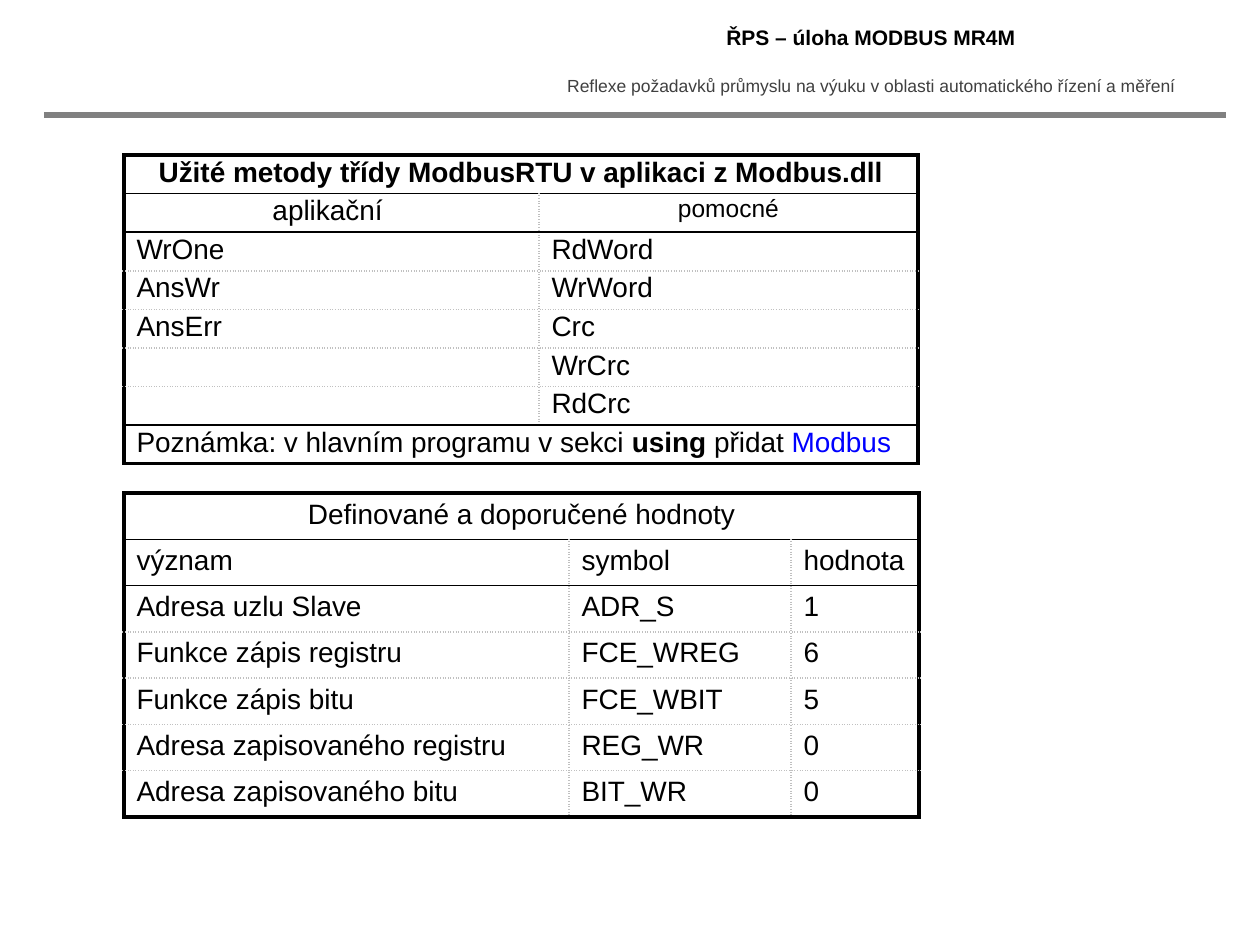
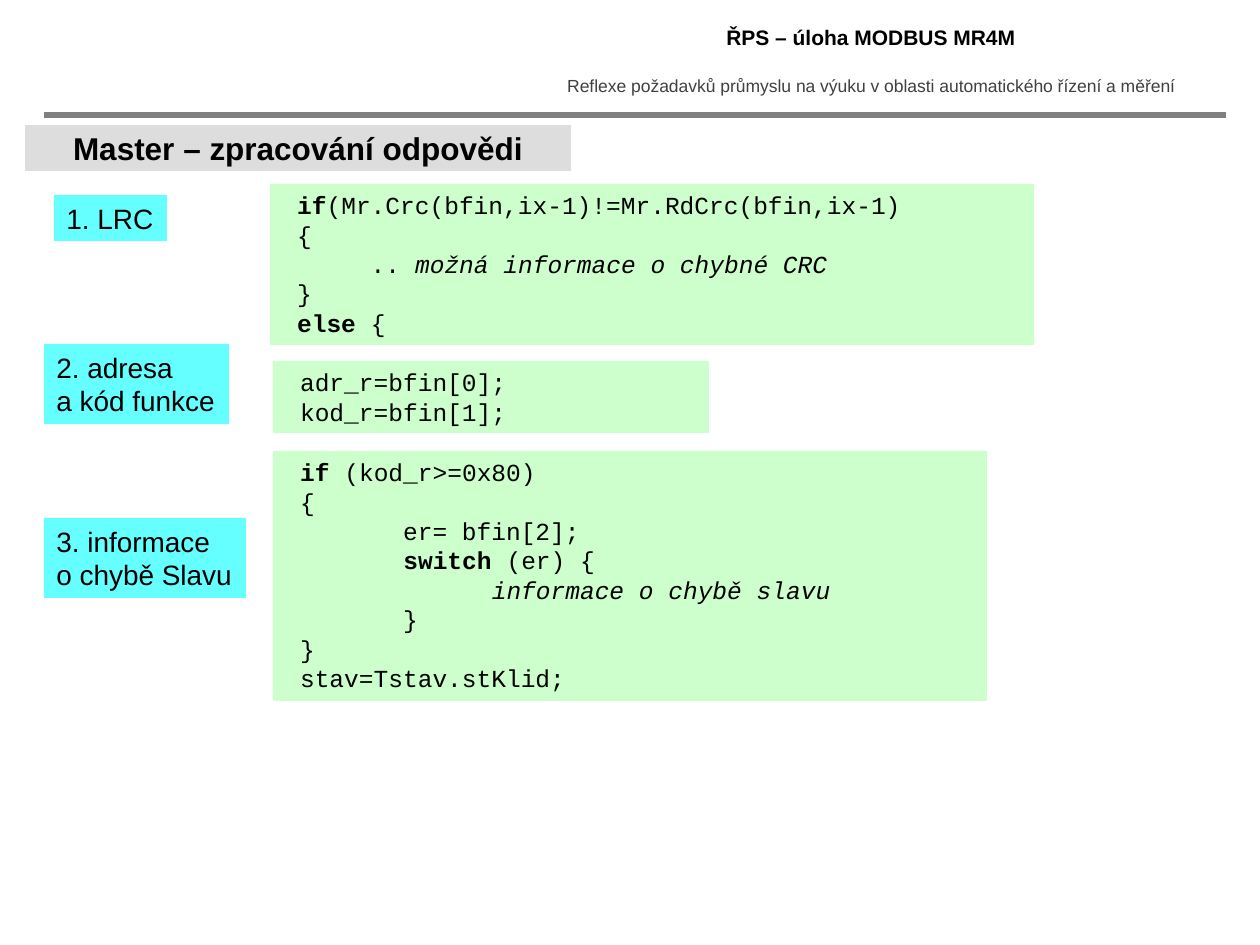
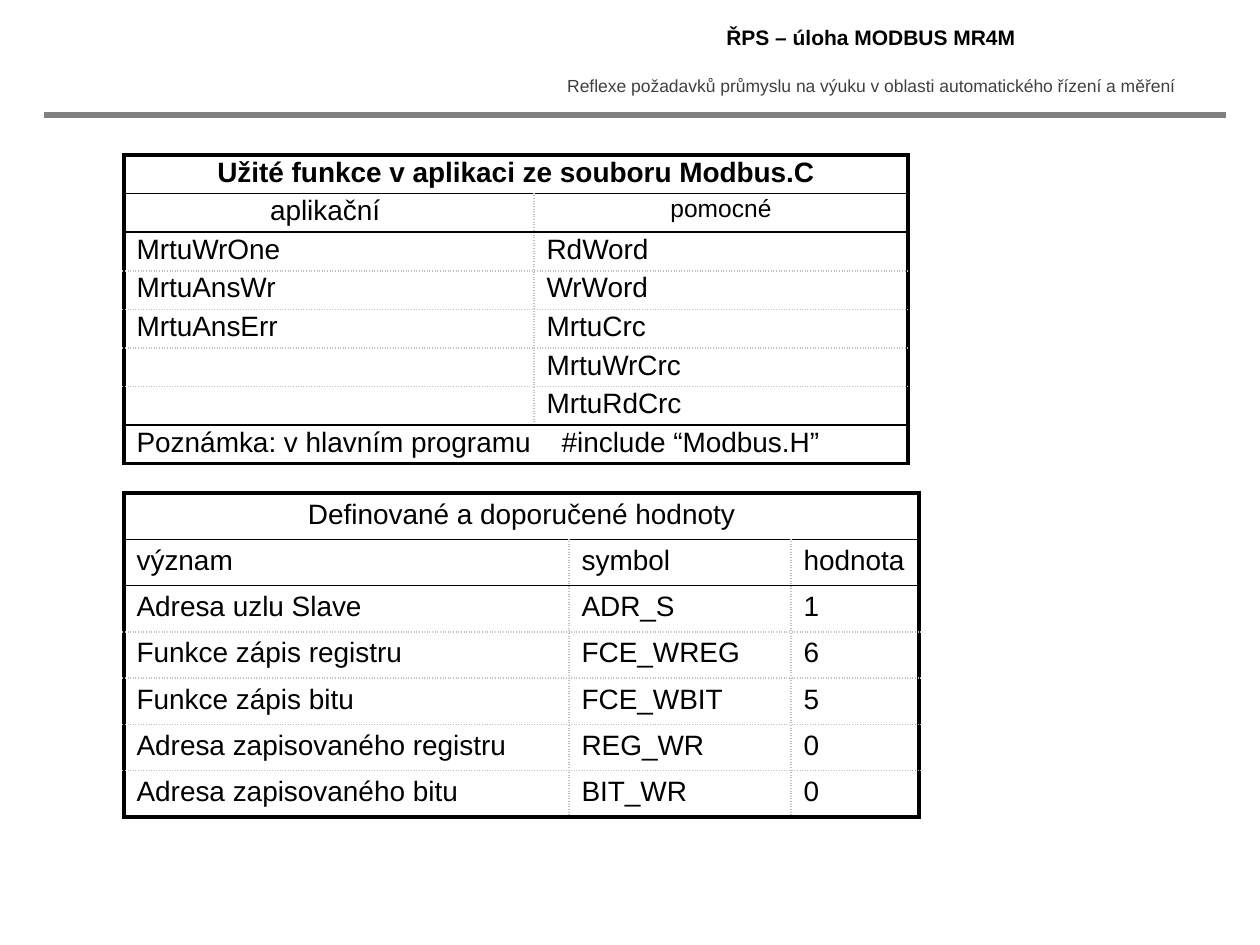
"""Build three MODBUS lesson slides: two with method and value tables, one with code."""
from dataclasses import dataclass

from lxml.etree import SubElement
from pptx import Presentation
from pptx.dml.color import RGBColor
from pptx.enum.shapes import MSO_CONNECTOR, MSO_SHAPE
from pptx.enum.text import MSO_ANCHOR, PP_ALIGN
from pptx.oxml.ns import qn
from pptx.util import Emu, Pt


@dataclass(frozen=True)
class Theme:
    face: str = "Arial"
    code_face: str = "Courier New"
    ink: str = "000000"
    subtitle: str = "404040"
    rule: str = "808080"
    dots: str = "C0C0C0"
    link: str = "0000FF"
    banner: str = "DDDDDD"
    label: str = "66FFFF"
    code: str = "CCFFCC"
    subtitle_size: int = 10
    header_size: int = 12
    code_size: int = 14
    small_size: int = 14
    body_size: int = 16
    banner_size: int = 18


THEME = Theme()
PX = 914400 / 126
THICK = (THEME.ink, 2.25, "solid")
THIN = (THEME.ink, 1, "solid")
DOTTED = (THEME.dots, 1, "sysDot")


def write_lines(frame, lines, size, face=THEME.face, color=THEME.ink, align=PP_ALIGN.LEFT):
    """Fill a text frame; a line is a string or a list of (text, style) spans."""
    for number, line in enumerate(lines):
        para = frame.paragraphs[0] if number == 0 else frame.add_paragraph()
        spans = [(line, "")] if isinstance(line, str) else line
        para.alignment = align
        if any("\t" in text for text, style in spans):
            tabs = SubElement(para._p.get_or_add_pPr(), qn("a:tabLst"))
            SubElement(tabs, qn("a:tab"), pos=str(round(425 * PX)), algn="l")
        para.font.name = face
        para.font.size = Pt(size)
        para.font.color.rgb = RGBColor.from_string(color)
        if line == "":
            SubElement(para._p, qn("a:endParaRPr"), sz=str(size * 100))
            continue
        for text, style in spans:
            span = para.add_run()
            span.text = text
            font = para.font if len(spans) == 1 else span.font
            if style == "bold":
                font.bold = True
            elif style == "italic":
                font.italic = True
            elif style == "small":
                font.size = Pt(THEME.small_size)
            elif style == "link":
                font.color.rgb = RGBColor.from_string(THEME.link)


def draw_table(page, top, height, widths, rows, solid_edges, centred_rows, margin):
    """Draw a framed table; a row with one value spans the full width."""
    count, last = len(rows), len(widths) - 1
    table = page.shapes.add_table(count, last + 1, Emu(round(124 * PX)), Emu(round(top * PX)),
                                  Emu(round(sum(widths) * PX)), Emu(round(height * PX))).table
    table.first_row = table.horz_banding = False
    for column, width in enumerate(widths):
        table.columns[column].width = Emu(round(width * PX))
    edges = [THICK if edge in (0, count) else THIN if edge in solid_edges else DOTTED
             for edge in range(count + 1)]
    for row, values in enumerate(rows):
        merged = len(values) == 1
        if merged:
            table.cell(row, 0).merge(table.cell(row, last))
        for column in range(last + 1):
            cell = table.cell(row, column)
            borders = {
                "a:lnL": THICK if column == 0 else None if merged else DOTTED,
                "a:lnR": THICK if column == last or merged else DOTTED,
                "a:lnT": edges[row],
                "a:lnB": edges[row + 1],
            }
            properties = cell._tc.get_or_add_tcPr()
            for tag, border in borders.items():
                if border:
                    color, weight, dash = border
                    line = SubElement(properties, qn(tag), w=str(Pt(weight)))
                    fill = SubElement(line, qn("a:solidFill"))
                    SubElement(fill, qn("a:srgbClr"), val=color)
                    SubElement(line, qn("a:prstDash"), val=dash)
            cell.fill.background()
            cell.margin_top = cell.margin_bottom = Emu(round(margin * PX))
            value = values[column] if column < len(values) else ""
            align = PP_ALIGN.CENTER if row in centred_rows else PP_ALIGN.LEFT
            write_lines(cell.text_frame, [value], THEME.body_size, align=align)


HEADERS = [
    (18, 39, [[("ŘPS – úloha MODBUS MR4M", "bold")]], THEME.header_size, THEME.ink),
    (69, 34, ["Reflexe požadavků průmyslu na výuku v oblasti automatického řízení a měření"],
     THEME.subtitle_size, THEME.subtitle),
]
KIND_ROW = ["aplikační ", [("pomocné", "small")]]
METHOD_TABLES = {
    0: ([415, 379], [
        [[("Užité metody třídy ModbusRTU v aplikaci z Modbus.dll", "bold")]],
        KIND_ROW,
        ["WrOne", "RdWord"],
        ["AnsWr", "WrWord"],
        ["AnsErr", "Crc"],
        ["", "WrCrc"],
        ["", "RdCrc"],
        [[("Poznámka: v hlavním programu v sekci ", ""), ("using ", "bold"),
          ("přidat ", ""), ("Modbus", "link")]],
    ]),
    2: ([410, 374], [
        [[("Užité funkce v aplikaci ze souboru Modbus.C", "bold")]],
        KIND_ROW,
        ["MrtuWrOne", "RdWord"],
        ["MrtuAnsWr", "WrWord"],
        ["MrtuAnsErr", "MrtuCrc"],
        ["", "MrtuWrCrc"],
        ["", "MrtuRdCrc"],
        ["Poznámka: v hlavním programu\t#include “Modbus.H”"],
    ]),
}
VALUE_ROWS = [
    ["Definované a doporučené hodnoty"],
    ["význam", "symbol", "hodnota"],
    ["Adresa uzlu Slave", "ADR_S", "1"],
    ["Funkce zápis registru", "FCE_WREG", "6"],
    ["Funkce zápis bitu", "FCE_WBIT", "5"],
    ["Adresa zapisovaného registru", "REG_WR", "0"],
    ["Adresa zapisovaného bitu", "BIT_WR", "0"],
]
BANNER = (25, 125, 546, 46, [[("Master – zpracování odpovědi", "bold")]])
LABELS = [
    (54, 195, 113, 46, ["1. LRC"]),
    (44, 344, 185, 80, ["2. adresa", "a kód funkce"]),
    (44, 518, 202, 80, ["3. informace", "o chybě Slavu"]),
]
CODE_BLOCKS = [
    (273, 451, 714, 250, [
        [(" if ", "bold"), ("(kod_r>=0x80)", "")],
        " {",
        "        er= bfin[2];",
        [("        ", ""), ("switch ", "bold"), ("(er) {", "")],
        [("              ", ""), ("informace o chybě slavu", "italic")],
        "        }",
        " }",
        " stav=Tstav.stKlid;",
    ]),
    (273, 361, 436, 72, [" adr_r=bfin[0];", " kod_r=bfin[1];"]),
    (270, 184, 764, 161, [
        [(" ", ""), ("if", "bold"), ("(Mr.Crc(bfin,ix-1)!=Mr.RdCrc(bfin,ix-1)", "")],
        " {",
        [("      .. ", ""), ("možná informace o chybné CRC", "italic")],
        " }",
        [(" else ", "bold"), ("{", "")],
    ]),
]
PANEL_STYLES = [
    ([BANNER], THEME.banner, THEME.banner_size, THEME.face, PP_ALIGN.CENTER, MSO_ANCHOR.MIDDLE, False),
    (CODE_BLOCKS, THEME.code, THEME.code_size, THEME.code_face, PP_ALIGN.LEFT, MSO_ANCHOR.TOP, True),
    (LABELS, THEME.label, THEME.body_size, THEME.face, PP_ALIGN.LEFT, MSO_ANCHOR.TOP, False),
]

deck = Presentation()
deck.slide_width = Emu(round(1260 * PX))
deck.slide_height = Emu(round(945 * PX))

for index in range(3):
    page = deck.slides.add_slide(deck.slide_layouts[6])
    for top, height, lines, size, color in HEADERS:
        box = page.shapes.add_textbox(*(Emu(round(length * PX)) for length in (542, top, 658, height)))
        box.text_frame.word_wrap = True
        write_lines(box.text_frame, lines, size, color=color, align=PP_ALIGN.CENTER)
    rule = page.shapes.add_connector(MSO_CONNECTOR.STRAIGHT,
                                     *(Emu(round(length * PX)) for length in (44, 115, 1226, 115)))
    rule.line.color.rgb = RGBColor.from_string(THEME.rule)
    rule.line.width = Pt(3)
    SubElement(rule._element.spPr, qn("a:effectLst"))

    if index in METHOD_TABLES:
        widths, rows = METHOD_TABLES[index]
        draw_table(page, 155, 309, widths, rows, (1, 2, 7), (0, 1), 2)
        draw_table(page, 493, 324, [445, 222, 128], VALUE_ROWS, (1, 2), (0,), 6)
        continue

    for panels, fill, size, face, align, anchor, wrap in PANEL_STYLES:
        for left, top, width, height, lines in panels:
            panel = page.shapes.add_shape(
                MSO_SHAPE.RECTANGLE, *(Emu(round(length * PX)) for length in (left, top, width, height)))
            panel.shadow.inherit = False
            panel.fill.solid()
            panel.fill.fore_color.rgb = RGBColor.from_string(fill)
            panel.line.fill.background()
            panel.text_frame.word_wrap = wrap
            panel.text_frame.vertical_anchor = anchor
            write_lines(panel.text_frame, lines, size, face, align=align)

deck.save("out.pptx")
